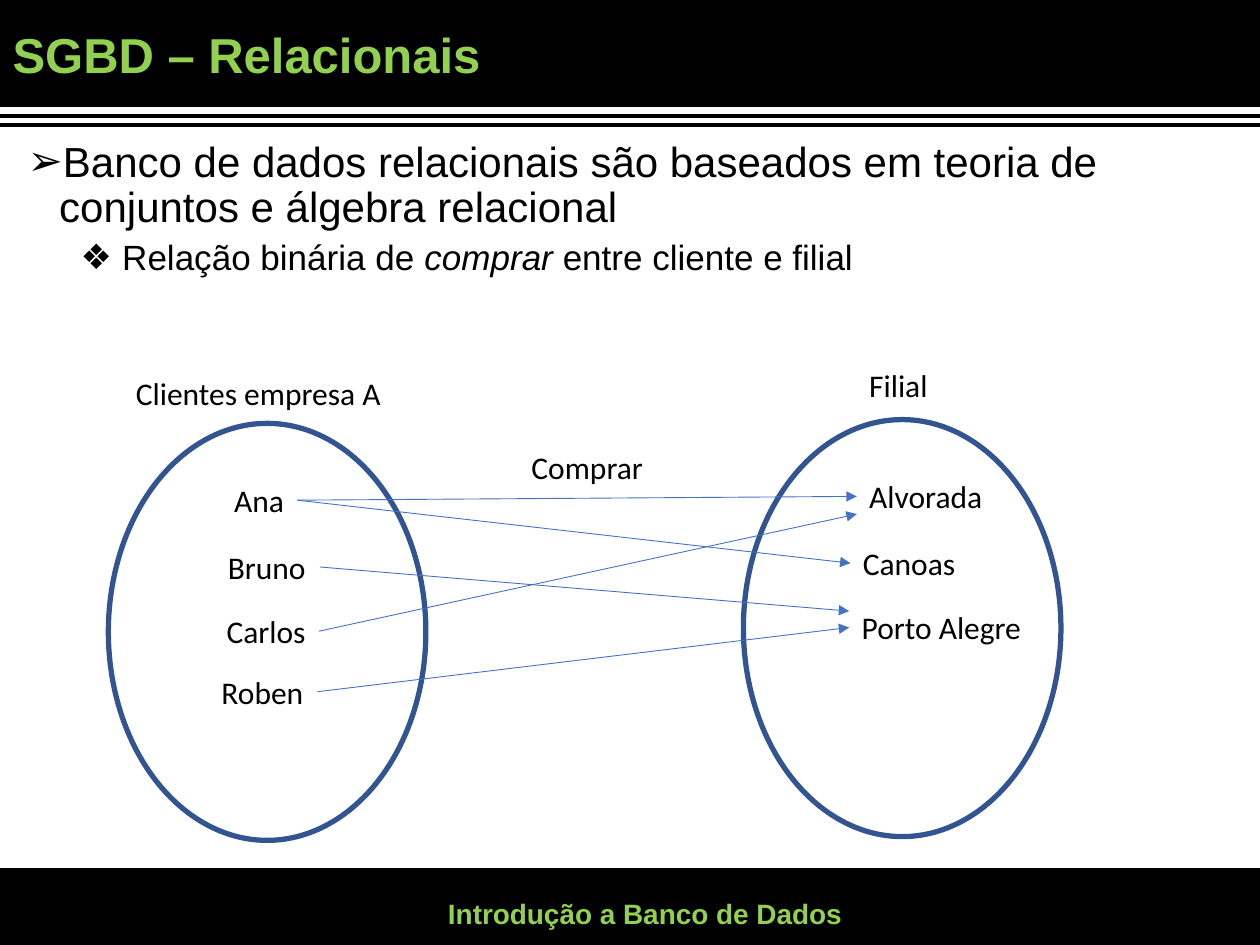
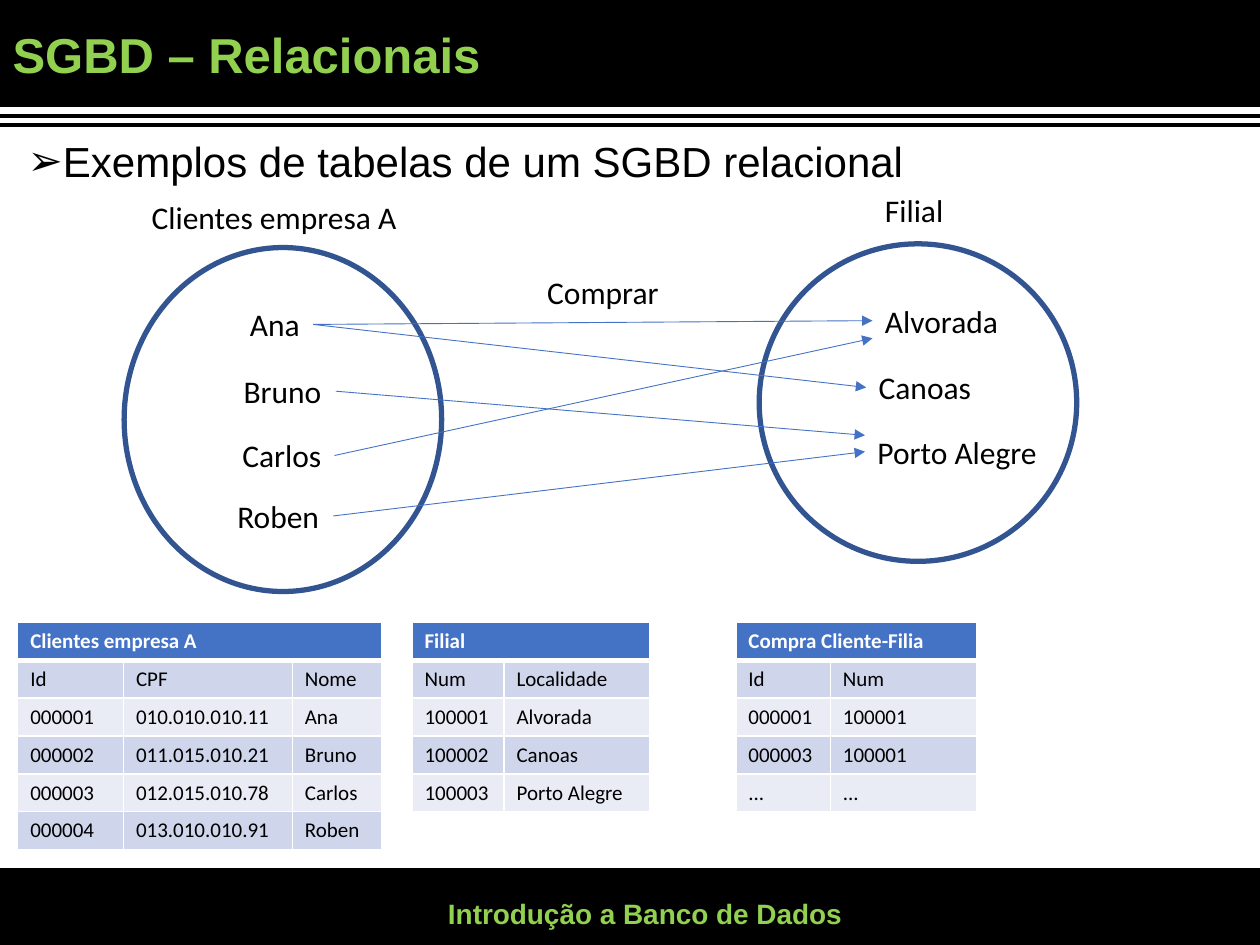
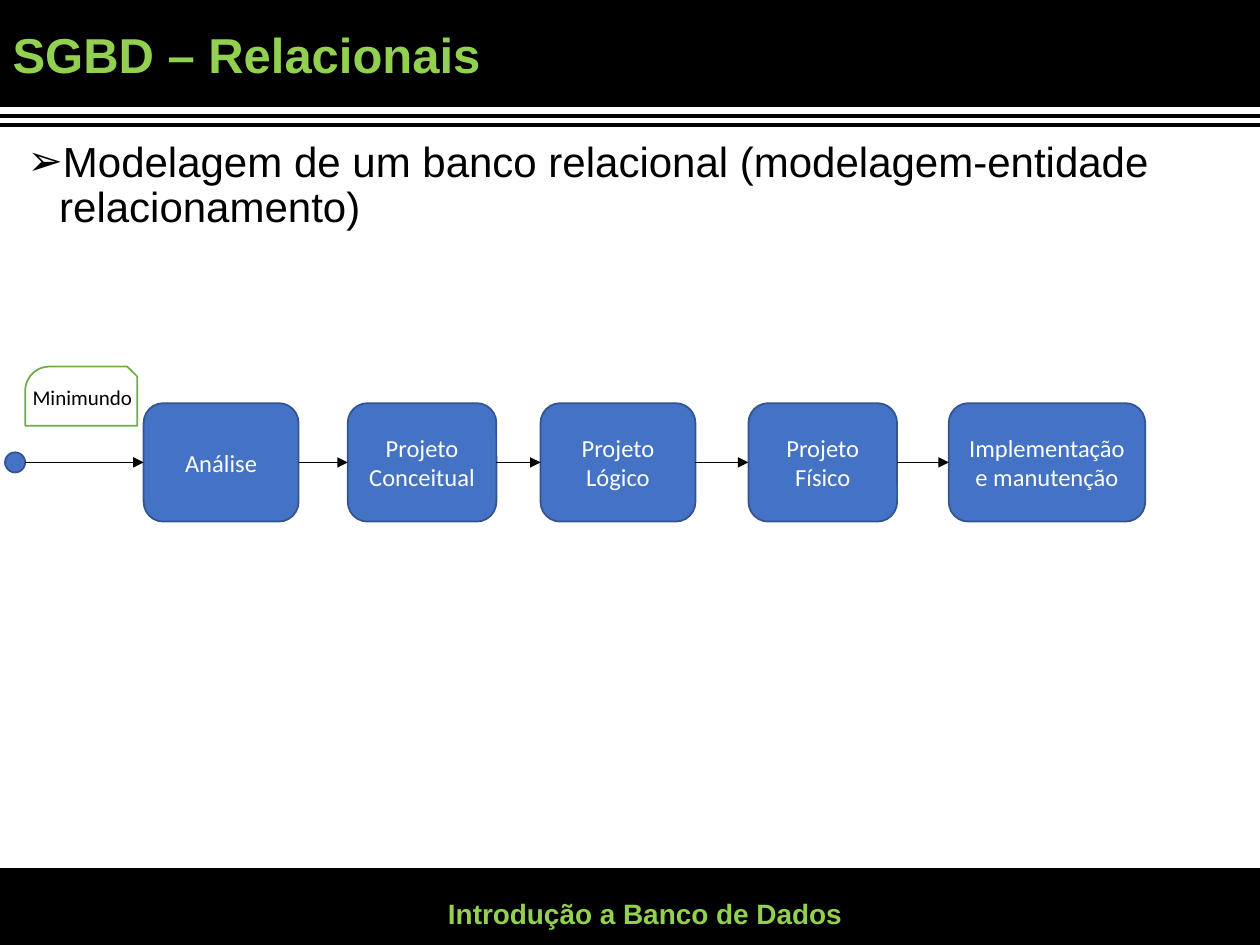
"""Build three slides about relational database systems."""
from dataclasses import dataclass
from typing import NamedTuple

from pptx import Presentation
from pptx.dml.color import RGBColor
from pptx.enum.shapes import MSO_CONNECTOR, MSO_SHAPE
from pptx.enum.text import MSO_ANCHOR, MSO_AUTO_SIZE, PP_ALIGN
from pptx.oxml.ns import qn
from pptx.shapes.autoshape import Shape
from pptx.shapes.connector import Connector
from pptx.slide import Slide
from pptx.table import _Cell
from pptx.util import Emu, Inches, Pt
from lxml import etree

RECTANGLE = MSO_SHAPE.RECTANGLE
ROUNDED = MSO_SHAPE.ROUNDED_RECTANGLE
OVAL = MSO_SHAPE.OVAL
NOTE = MSO_SHAPE.SNIP_ROUND_RECTANGLE
STRAIGHT = MSO_CONNECTOR.STRAIGHT
LEFT, CENTER = PP_ALIGN.LEFT, PP_ALIGN.CENTER
MIDDLE, TOP = MSO_ANCHOR.MIDDLE, MSO_ANCHOR.TOP
NO_FIT, FIT_SHAPE = MSO_AUTO_SIZE.NONE, MSO_AUTO_SIZE.SHAPE_TO_FIT_TEXT

SLIDE_WIDTH, SLIDE_HEIGHT = Inches(10), Inches(7.5)
COLUMNS, ROWS = 100, 75
LEFT_SIDE, RIGHT_SIDE = 1, 3
LABEL_HEIGHT = 4
COLORS = {
    "black": "000000", "white": "FFFFFF", "lime": "92D050", "blue": "4472C4",
    "navy": "325491", "green": "70AD47", "stripe": "CFD5EA", "pale": "E9EBF5",
}
TITLE = "SGBD – Relacionais"
FOOTER = "Introdução a Banco de Dados"


class Box(NamedTuple):
    """A rectangle in grid columns and rows."""
    left: float
    top: float
    width: float
    height: float

    def shifted(self, across: float, down: float) -> "Box":
        """Return the box moved over the grid."""
        return self._replace(left=self.left + across, top=self.top + down)

    def lengths(self) -> tuple[Emu, Emu, Emu, Emu]:
        """Return the box as slide lengths."""
        return column(self.left), row(self.top), column(self.width), row(self.height)


class Style(NamedTuple):
    """The look of a run of text."""
    size: float
    color: str
    font: str = "Calibri"
    bold: bool = False
    italic: bool = False


class Bullet(NamedTuple):
    """The marker, indent and spacing of a list level."""
    mark: str
    margin: float
    before: float
    style: Style


class Item(NamedTuple):
    """A list entry made of text runs, with every second run in italics."""
    level: int
    runs: tuple[str, ...]


class Label(NamedTuple):
    """A single-line label of the set diagram."""
    text: str
    left: float
    top: float
    width: float


class Purchase(NamedTuple):
    """An arrow from client to branch, ending some rows off the middle."""
    client: str
    branch: str
    drop: float = 0


@dataclass(frozen=True)
class DataTable:
    """A titled table with its left edge and column widths."""
    left: float
    widths: tuple[float, ...]
    title: str
    rows: tuple[tuple[str, ...], ...]


class Step(NamedTuple):
    """A stage of the modelling process."""
    text: str
    left: float
    width: float


TITLE_STYLE = Style(28, "lime", "Arial", True)
FOOTER_STYLE = Style(16, "lime", "Arial", True)
LABEL_STYLE = Style(18, "black")
STEP_STYLE = Style(14, "white")
NOTE_STYLE = Style(12, "black")
HEADER_STYLE = Style(12, "white", bold=True)
CELL_STYLE = Style(12, "black")
BULLETS = (
    Bullet("➢", 0.25, 10, Style(24, "black", "Arial")),
    Bullet("❖", 0.75, 5, Style(20, "black", "Arial")),
)
BULLET_INDENT = -0.33

BANDS = (Box(-0.4, 69, 100.9, 6.3), Box(-0.5, -0.1, 100.9, 8.5))
RULES = (9.2, 9.9)
TITLE_BOX = Box(0, 0.1, 98.8, 8.9)
BODY_BOX = Box(1.2, 10.7, 98.8, 57.3)
FOOTER_BOX = Box(27.2, 70.5, 48, 4)

LABELS = (
    Label("Ana", 17.6, 37.7, 6), Label("Bruno", 17.1, 43, 8.3),
    Label("Carlos", 17, 48.1, 8.3), Label("Roben", 16.6, 52.9, 8.6),
    Label("Alvorada", 68, 37.4, 11.1), Label("Canoas", 67.5, 42.7, 9.4),
    Label("Porto Alegre", 67.4, 47.8, 14.8), Label("Filial", 68, 28.6, 6.7),
    Label("Comprar", 41.2, 35.1, 11), Label("Clientes empresa A", 9.8, 29.2, 21.7),
)
PURCHASES = (
    Purchase("Ana", "Alvorada"), Purchase("Ana", "Canoas"),
    Purchase("Roben", "Porto Alegre"), Purchase("Carlos", "Alvorada", 1.4),
    Purchase("Bruno", "Porto Alegre", -1.3),
)
TABLE_TOP, TABLE_ROW = 49.4, 2.8
TABLES = (
    DataTable(1.4, (8.4, 13.4, 7.1), "Clientes empresa A", (
        ("Id", "CPF", "Nome"),
        ("000001", "010.010.010.11", "Ana"),
        ("000002", "011.015.010.21", "Bruno"),
        ("000003", "012.015.010.78", "Carlos"),
        ("000004", "013.010.010.91", "Roben"))),
    DataTable(32.7, (7.3, 11.6), "Filial", (
        ("Num", "Localidade"),
        ("100001", "Alvorada"),
        ("100002", "Canoas"),
        ("100003", "Porto Alegre"))),
    DataTable(58.4, (7.5, 11.6), "Compra Cliente-Filia", (
        ("Id", "Num"),
        ("000001", "100001"),
        ("000003", "100001"),
        ("...", "..."))),
)
STEP_TOP, STEP_HEIGHT = 32, 9.4
STEPS = (
    Step("Análise", 11.4, 12.3), Step("Projeto Conceitual", 27.6, 11.8),
    Step("Projeto Lógico", 42.9, 12.3), Step("Projeto Físico", 59.4, 11.8),
    Step("Implementação e manutenção", 75.3, 15.6),
)
START_SIZE = 1.6
START_LEFT = 0.4


def column(count: float) -> Emu:
    """Return the width of some grid columns."""
    return Emu(round(SLIDE_WIDTH * count / COLUMNS))


def row(count: float) -> Emu:
    """Return the height of some grid rows."""
    return Emu(round(SLIDE_HEIGHT * count / ROWS))


def color(name: str) -> RGBColor:
    """Return a named colour."""
    return RGBColor.from_string(COLORS[name])


def add_run(paragraph, text: str, style: Style) -> None:
    """Add a formatted run to a paragraph."""
    run = paragraph.add_run()
    run.text = text
    font = run.font
    font.size, font.name = Pt(style.size), style.font
    font.bold, font.italic = style.bold, style.italic
    font.color.rgb = color(style.color)


def add_figure(slide: Slide, kind: MSO_SHAPE, box: Box, fill: str | None,
               line: str, weight: float = 1) -> Shape:
    """Add a preset shape without a shadow."""
    shape = slide.shapes.add_shape(kind, *box.lengths())
    shape.shadow.inherit = False
    if fill:
        shape.fill.solid()
        shape.fill.fore_color.rgb = color(fill)
    else:
        shape.fill.background()
    shape.line.color.rgb = color(line)
    shape.line.width = Pt(weight)
    return shape


def write_centered(shape: Shape, text: str, style: Style) -> None:
    """Write centred text in a shape."""
    frame = shape.text_frame
    frame.word_wrap = True
    frame.vertical_anchor = MIDDLE
    frame.paragraphs[0].alignment = CENTER
    add_run(frame.paragraphs[0], text, style)


def add_line(slide: Slide, start: tuple[float, float], end: tuple[float, float],
             name: str, weight: float, arrow: bool = True) -> Connector:
    """Add a straight line between grid points."""
    connector = slide.shapes.add_connector(
        STRAIGHT, column(start[0]), row(start[1]), column(end[0]), row(end[1]))
    connector.line.color.rgb = color(name)
    connector.line.width = Pt(weight)
    properties = connector.element.spPr
    if arrow:
        etree.SubElement(properties.find(qn("a:ln")), qn("a:tailEnd"), type="triangle")
    etree.SubElement(properties, qn("a:effectLst"))
    return connector


def decorate_master(slide: Slide) -> None:
    """Put the bands and rules behind everything on the slide master."""
    parts = [add_figure(slide, RECTANGLE, band, "black", "black") for band in BANDS]
    parts += [add_line(slide, (0, top), (COLUMNS, top), "black", 2.25, False)
              for top in RULES]
    tree = slide.slide_layout.slide_master.shapes.element
    for position, part in enumerate(parts, start=2):
        tree.insert(position, part.element)


def place(shape: Shape, box: Box) -> None:
    """Move and resize a shape."""
    shape.left, shape.top, shape.width, shape.height = box.lengths()


def add_item(paragraph, item: Item) -> None:
    """Write one bulleted entry."""
    bullet = BULLETS[item.level]
    paragraph.level = item.level
    paragraph.alignment = LEFT
    paragraph.line_spacing = 0.9
    paragraph.space_before = Pt(bullet.before)
    properties = paragraph._p.get_or_add_pPr()
    properties.set("marL", str(Inches(bullet.margin)))
    properties.set("indent", str(Inches(BULLET_INDENT)))
    etree.SubElement(properties, qn("a:buChar"), char=bullet.mark)
    for position, text in enumerate(item.runs):
        add_run(paragraph, text, bullet.style._replace(italic=position % 2 == 1))


def new_slide(presentation: Presentation, items: tuple[Item, ...]) -> Slide:
    """Add a slide with its title, list and footer."""
    slide = presentation.slides.add_slide(presentation.slide_layouts[1])
    title, body = slide.shapes.title, slide.placeholders[1]
    place(title, TITLE_BOX)
    title.text_frame.vertical_anchor = MIDDLE
    title.text_frame.auto_size = NO_FIT
    heading = title.text_frame.paragraphs[0]
    heading.alignment = LEFT
    heading.line_spacing = 0.9
    add_run(heading, TITLE, TITLE_STYLE)
    place(body, BODY_BOX)
    frame = body.text_frame
    frame.auto_size = NO_FIT
    frame.vertical_anchor = TOP
    for position, item in enumerate(items):
        add_item(frame.add_paragraph() if position else frame.paragraphs[0], item)
    footer = slide.shapes.add_textbox(*FOOTER_BOX.lengths())
    write_centered(footer, FOOTER, FOOTER_STYLE)
    return slide


def add_sets(slide: Slide, across: float, down: float,
             client_height: float, branch_height: float) -> None:
    """Draw the clients, the branches and the purchases between them."""
    for oval in (Box(8.6, 33.6, 25.2, client_height), Box(59, 33.3, 25.2, branch_height)):
        add_figure(slide, OVAL, oval.shifted(across, down), None, "navy", 3)
    boxes, shapes = {}, {}
    for label in LABELS:
        box = Box(label.left, label.top, label.width, LABEL_HEIGHT).shifted(across, down)
        shape = slide.shapes.add_textbox(*box.lengths())
        shape.text_frame.word_wrap = False
        shape.text_frame.auto_size = FIT_SHAPE
        add_run(shape.text_frame.paragraphs[0], label.text, LABEL_STYLE)
        boxes[label.text], shapes[label.text] = box, shape
    for purchase in PURCHASES:
        client, branch = boxes[purchase.client], boxes[purchase.branch]
        arrow = add_line(
            slide, (client.left + client.width, client.top + LABEL_HEIGHT / 2),
            (branch.left, branch.top + LABEL_HEIGHT / 2 + purchase.drop), "blue", 0.5)
        arrow.begin_connect(shapes[purchase.client], RIGHT_SIDE)
        if not purchase.drop:
            arrow.end_connect(shapes[purchase.branch], LEFT_SIDE)


def format_cell(cell: _Cell, fill: str, top: float, bottom: float) -> None:
    """Give a cell white borders and a fill."""
    properties = cell._tc.get_or_add_tcPr()
    for side, weight in (("L", 1), ("R", 1), ("T", top), ("B", bottom)):
        border = etree.SubElement(properties, qn(f"a:ln{side}"), w=str(Pt(weight)))
        solid = etree.SubElement(border, qn("a:solidFill"))
        etree.SubElement(solid, qn("a:srgbClr"), val=COLORS["white"])
    cell.fill.solid()
    cell.fill.fore_color.rgb = color(fill)


def add_data_table(slide: Slide, data: DataTable) -> None:
    """Add a table under a merged header row."""
    count = len(data.rows) + 1
    box = Box(data.left, TABLE_TOP, sum(data.widths), TABLE_ROW * count)
    table = slide.shapes.add_table(count, len(data.widths), *box.lengths()).table
    for table_column, width in zip(table.columns, data.widths):
        table_column.width = column(width)
    table.cell(0, 0).merge(table.cell(0, len(data.widths) - 1))
    add_run(table.cell(0, 0).text_frame.paragraphs[0], data.title, HEADER_STYLE)
    for index in range(len(data.widths)):
        format_cell(table.cell(0, index), "blue", 1, 3)
    for number, values in enumerate(data.rows, start=1):
        for index, value in enumerate(values):
            cell = table.cell(number, index)
            format_cell(cell, "stripe" if number % 2 else "pale", 3 if number == 1 else 1, 1)
            add_run(cell.text_frame.paragraphs[0], value, CELL_STYLE)


def add_process(slide: Slide) -> None:
    """Draw the modelling steps from the starting point onwards."""
    note = add_figure(slide, NOTE, Box(2, 29.1, 8.9, 4.7), "white", "green")
    note.adjustments[0], note.adjustments[1] = 0.41, 0.17
    frame = note.text_frame
    frame.margin_left = frame.margin_right = frame.margin_top = 0
    frame.margin_bottom = Inches(0.04)
    write_centered(note, "Minimundo", NOTE_STYLE)
    middle = STEP_TOP + STEP_HEIGHT / 2
    add_figure(slide, OVAL, Box(START_LEFT, middle - START_SIZE / 2, START_SIZE, START_SIZE),
               "blue", "navy")
    previous, edge = None, START_LEFT + START_SIZE
    for step in STEPS:
        box = Box(step.left, STEP_TOP, step.width, STEP_HEIGHT)
        shape = add_figure(slide, ROUNDED, box, "blue", "navy")
        write_centered(shape, step.text, STEP_STYLE)
        arrow = add_line(slide, (edge, middle), (step.left, middle), "black", 0.5)
        if previous:
            arrow.begin_connect(previous, RIGHT_SIDE)
        arrow.end_connect(shape, LEFT_SIDE)
        previous, edge = shape, step.left + step.width


def main() -> None:
    """Build and save the presentation."""
    presentation = Presentation()
    presentation.slide_width, presentation.slide_height = SLIDE_WIDTH, SLIDE_HEIGHT
    theory = new_slide(presentation, (
        Item(0, ("Banco de dados relacionais são baseados em teoria de "
                 "conjuntos e álgebra relacional",)),
        Item(1, ("Relação binária de ", "comprar", " entre cliente e filial")),
    ))
    decorate_master(theory)
    add_sets(theory, 0, 0, 33.1, 33.1)
    examples = new_slide(presentation, (
        Item(0, ("Exemplos de tabelas de um SGBD relacional",)),))
    add_sets(examples, 1.25, -13.95, 27.3, 25.2)
    for data in TABLES:
        add_data_table(examples, data)
    modelling = new_slide(presentation, (
        Item(0, ("Modelagem de um banco relacional (modelagem-entidade relacionamento)",)),))
    add_process(modelling)
    presentation.save("out.pptx")


if __name__ == "__main__":
    main()
